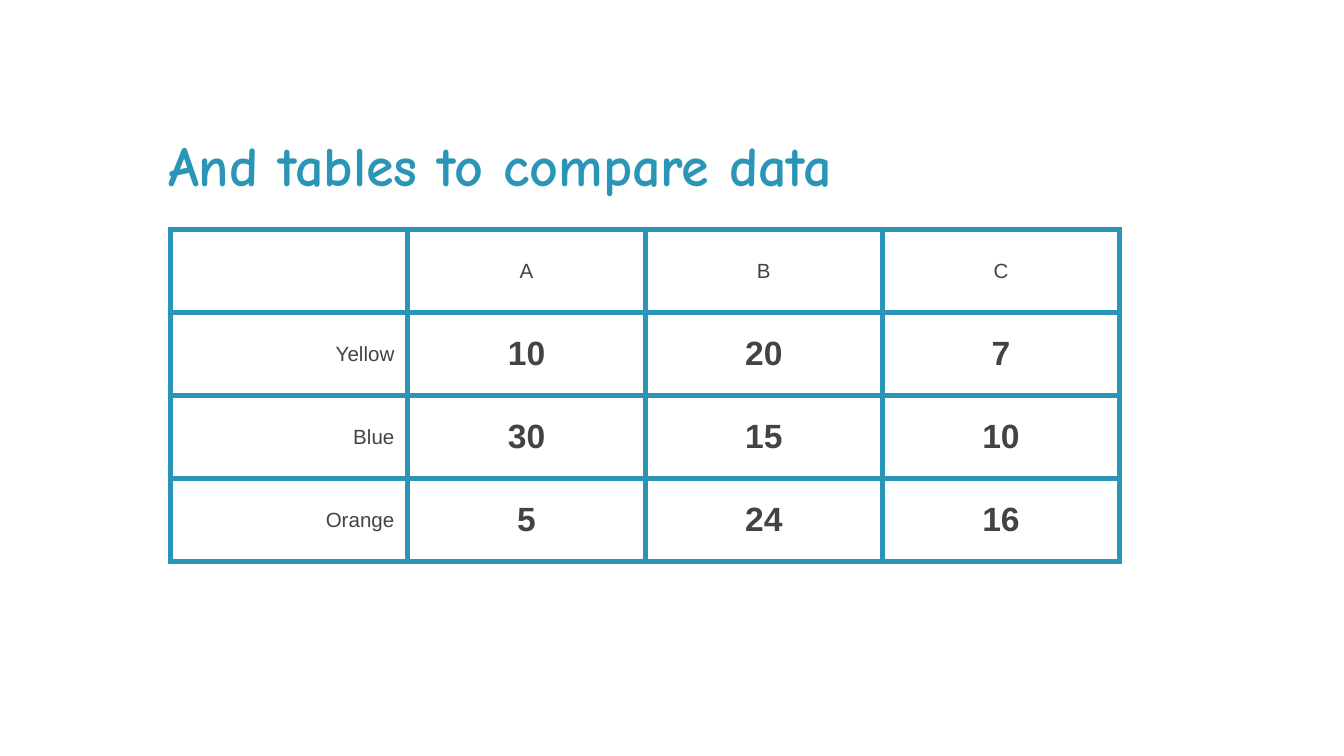
from lxml import etree
from pptx import Presentation
from pptx import util as u
from pptx.dml.color import RGBColor
from pptx.enum import text
from pptx.oxml import ns

TEAL = RGBColor(0x2A, 0x95, 0xB7)
GREY = RGBColor(0x43, 0x43, 0x43)
WHITE = RGBColor(0xFF, 0xFF, 0xFF)

SLIDE_WIDTH = 10
SLIDE_HEIGHT = SLIDE_WIDTH * 9 / 16
TABLE_WIDTH, TABLE_HEIGHT = 7.06, 2.47
BORDER_POINTS = 3
ROWS = [
    ["", "A", "B", "C"],
    ["Yellow", "10", "20", "7"],
    ["Blue", "30", "15", "10"],
    ["Orange", "5", "24", "16"],
]


def style_font(font, name, size, color, bold):
    font.name, font.size, font.bold = name, u.Pt(size), bold
    font.color.rgb = color


def add_title(page, words):
    box = page.shapes.title
    box.left, box.top = u.Inches(1.15), u.Inches(0.87)
    box.width, box.height = u.Inches(7.68), u.Inches(0.82)
    frame = box.text_frame
    frame.text = words
    frame.vertical_anchor = text.MSO_ANCHOR.TOP
    frame.margin_left = frame.margin_right = u.Inches(0.1)
    frame.margin_top = frame.margin_bottom = u.Inches(0.1)
    para = frame.paragraphs[0]
    para.alignment = text.PP_ALIGN.LEFT
    style_font(para.runs[0].font, "Comic Neue", 30, TEAL, True)


def add_borders(cell):
    properties = cell._tc.get_or_add_tcPr()
    for position, side in enumerate(("lnL", "lnR", "lnT", "lnB")):
        line = etree.Element(ns.qn(f"a:{side}"), w=str(u.Pt(BORDER_POINTS)))
        fill = etree.SubElement(line, ns.qn("a:solidFill"))
        etree.SubElement(fill, ns.qn("a:srgbClr"), val=str(TEAL))
        properties.insert(position, line)


def fill_cell(cell, words, is_label, alignment):
    cell.text = words
    cell.vertical_anchor = text.MSO_ANCHOR.MIDDLE
    cell.margin_left = cell.margin_right = u.Inches(0.1)
    cell.margin_top = cell.margin_bottom = u.Inches(0.07)
    cell.fill.solid()
    cell.fill.fore_color.rgb = WHITE
    add_borders(cell)
    para = cell.text_frame.paragraphs[0]
    para.alignment = alignment
    for span in para.runs:
        style_font(span.font, "Arial", 11 if is_label else 18, GREY, not is_label)


def add_data_table(page, left, top, rows):
    table = page.shapes.add_table(
        len(rows), len(rows[0]), u.Inches(left), u.Inches(top),
        u.Inches(TABLE_WIDTH), u.Inches(TABLE_HEIGHT),
    ).table
    table.first_row = table.horz_banding = False
    for row, values in enumerate(rows):
        for column, words in enumerate(values):
            # Row names sit right; column heads and values are centred
            alignment = text.PP_ALIGN.CENTER if column else text.PP_ALIGN.RIGHT
            is_label = row == 0 or column == 0
            fill_cell(table.cell(row, column), words, is_label, alignment)


def main():
    deck = Presentation()
    deck.slide_width = u.Inches(SLIDE_WIDTH)
    deck.slide_height = u.Inches(SLIDE_HEIGHT)
    page = deck.slides.add_slide(deck.slide_layouts[5])  # title only
    page.background.fill.solid()
    page.background.fill.fore_color.rgb = WHITE

    add_title(page, "And tables to compare data")
    add_data_table(page, 1.27, 1.71, ROWS)
    deck.save("out.pptx")


if __name__ == "__main__":
    main()
